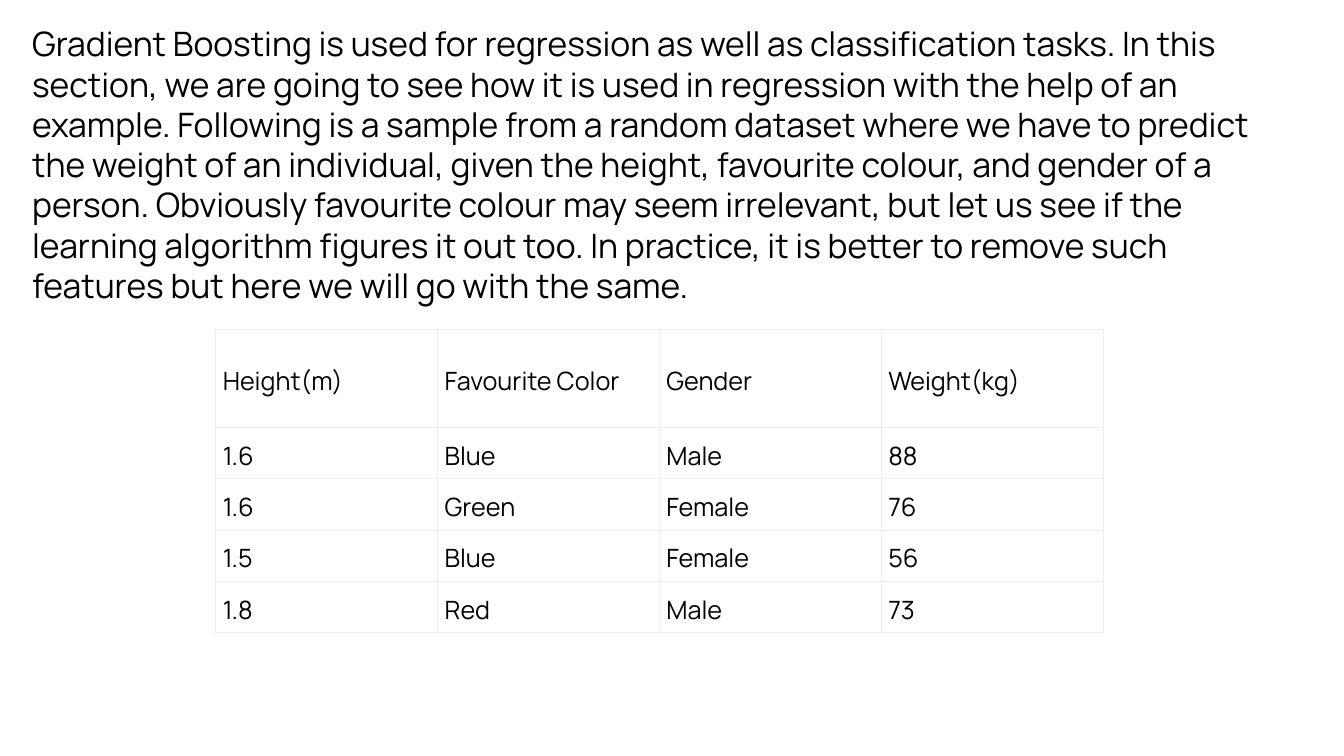
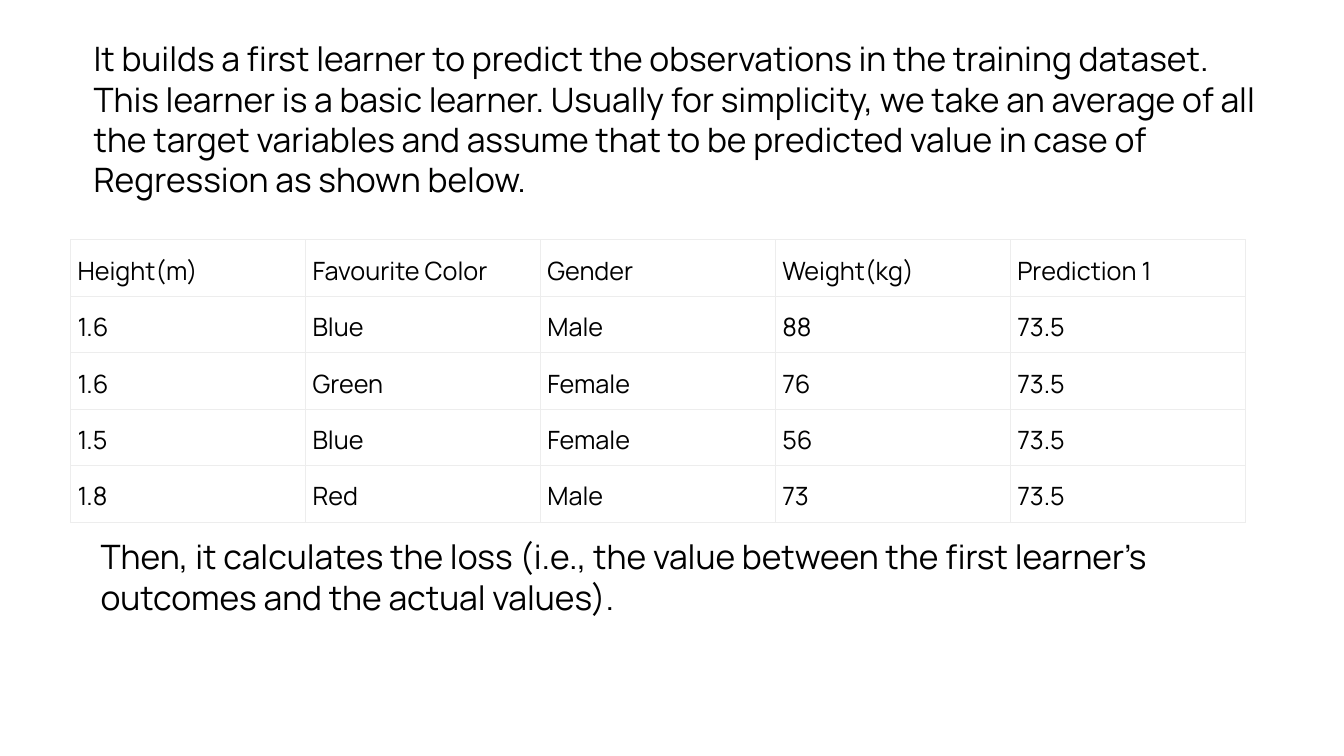
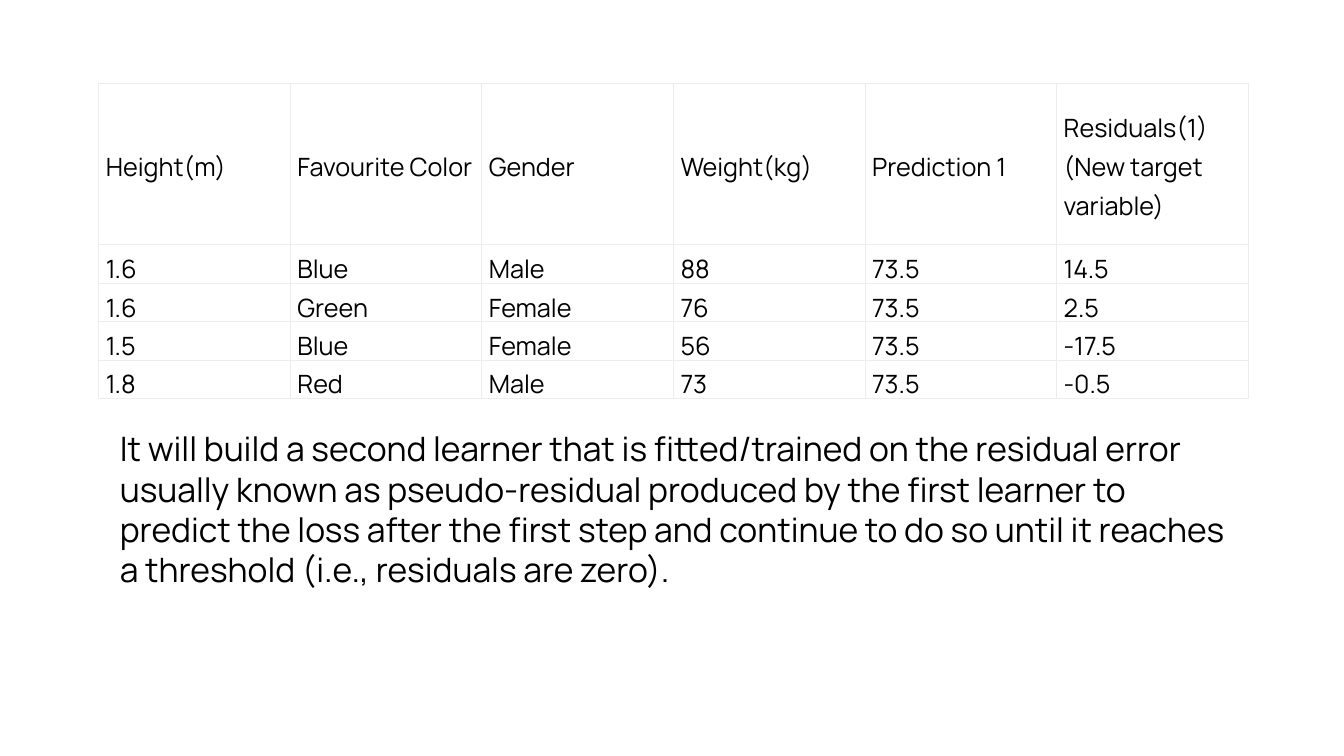
from lxml import etree
from pptx import Presentation
from pptx.dml.color import RGBColor
from pptx.enum.text import MSO_ANCHOR, MSO_AUTO_SIZE
from pptx.oxml.ns import qn
from pptx.util import Inches, Pt

BLACK = RGBColor(0x00, 0x00, 0x00)
WHITE = RGBColor(0xFF, 0xFF, 0xFF)
BORDER_GREY = RGBColor(0xED, 0xED, 0xED)
MIDDLE = MSO_ANCHOR.MIDDLE
GROW = MSO_AUTO_SIZE.SHAPE_TO_FIT_TEXT
BLANK_LAYOUT = 6

SAMPLES = [
    ["Height(m)", "Favourite Color", "Gender", "Weight(kg)", "Prediction 1",
     "Residuals(1)\v(New target variable)"],
    ["1.6", "Blue", "Male", "88", "73.5", "14.5"],
    ["1.6", "Green", "Female", "76", "73.5", "2.5"],
    ["1.5", "Blue", "Female", "56", "73.5", "-17.5"],
    ["1.8", "Red", "Male", "73", "73.5", "-0.5"],
]


class LessonDeck:
    font_name = "Manrope"
    body_size = Pt(24)
    cell_size = Pt(18)
    cell_spacing = 1.14
    border_width = Pt(0.75)

    def __init__(self):
        self.deck = Presentation()
        self.deck.slide_width = Inches(13.33)
        self.deck.slide_height = Inches(7.5)
        self.page = None

    def add_page(self):
        self.page = self.deck.slides.add_slide(self.deck.slide_layouts[BLANK_LAYOUT])
        self.page.background.fill.solid()
        self.page.background.fill.fore_color.rgb = WHITE

    def style(self, paragraph, size):
        paragraph.font.name = self.font_name
        paragraph.font.size = size
        paragraph.font.color.rgb = BLACK

    def add_text(self, text, left, top, width, height):
        box = self.page.shapes.add_textbox(
            Inches(left), Inches(top), Inches(width), Inches(height))
        frame = box.text_frame
        frame.word_wrap = True
        frame.auto_size = GROW
        frame.text = text
        self.style(frame.paragraphs[0], self.body_size)

    def add_samples(self, column_count, left, top, column_width, header_height, row_height):
        heights = [header_height] + [row_height] * (len(SAMPLES) - 1)
        table = self.page.shapes.add_table(
            len(SAMPLES), column_count, Inches(left), Inches(top),
            Inches(column_width * column_count), Inches(sum(heights))).table
        table.first_row = False
        table.horz_banding = False
        for column in table.columns:
            column.width = Inches(column_width)
        for row, height, values in zip(table.rows, heights, SAMPLES):
            row.height = Inches(height)
            for cell, value in zip(row.cells, values):
                self.fill_cell(cell, value)

    def fill_cell(self, cell, value):
        cell.text = value
        cell.vertical_anchor = MIDDLE
        cell.margin_left = cell.margin_right = Inches(0.07)
        cell.margin_top = cell.margin_bottom = Inches(0.02)
        paragraph = cell.text_frame.paragraphs[0]
        paragraph.line_spacing = self.cell_spacing
        self.style(paragraph, self.cell_size)
        self.add_borders(cell)
        cell.fill.solid()
        cell.fill.fore_color.rgb = WHITE

    def add_borders(self, cell):
        properties = cell._tc.get_or_add_tcPr()
        for side in ("a:lnL", "a:lnR", "a:lnT", "a:lnB"):
            line = etree.SubElement(properties, qn(side), w=str(self.border_width))
            fill = etree.SubElement(line, qn("a:solidFill"))
            etree.SubElement(fill, qn("a:srgbClr"), val=str(BORDER_GREY))

    def save(self):
        self.deck.save("out.pptx")


def main():
    lesson = LessonDeck()

    lesson.add_page()
    lesson.add_text(
        "Gradient Boosting is used for regression as well as classification tasks. "
        "In this section, we are going to see how it is used in regression with the "
        "help of an example. Following is a sample from a random dataset where we have "
        "to predict the weight of an individual, given the height, favourite colour, "
        "and gender of a person. Obviously favourite colour may seem irrelevant, but "
        "let us see if the learning algorithm figures it out too. In practice, it is "
        "better to remove such features but here we will go with the same.",
        0.22, 0.18, 12.48, 2.52)
    lesson.add_samples(4, 2.14, 3.27, 2.2, 0.97, 0.51)

    lesson.add_page()
    lesson.add_text(
        "It builds a first learner to predict the observations in the training dataset. "
        "This learner is a basic learner. Usually for simplicity, we take an average of "
        "all the target variables and assume that to be predicted value in case of "
        "Regression as shown below.",
        0.83, 0.33, 11.93, 1.31)
    lesson.add_samples(5, 0.7, 2.38, 2.33, 0.56, 0.56)
    lesson.add_text(
        "Then, it calculates the loss (i.e., the value between the first learner’s "
        "outcomes and the actual values).",
        0.9, 5.27, 11.3, 0.91)

    lesson.add_page()
    lesson.add_samples(6, 0.98, 0.83, 1.9, 1.6, 0.33)
    lesson.add_text(
        "It will build a second learner that is fitted/trained on the residual error "
        "usually known as pseudo-residual produced by the first learner to predict the "
        "loss after the first step and continue to do so until it reaches a threshold "
        "(i.e., residuals are zero).",
        1.09, 4.2, 11.32, 1.72)

    lesson.save()


if __name__ == "__main__":
    main()
